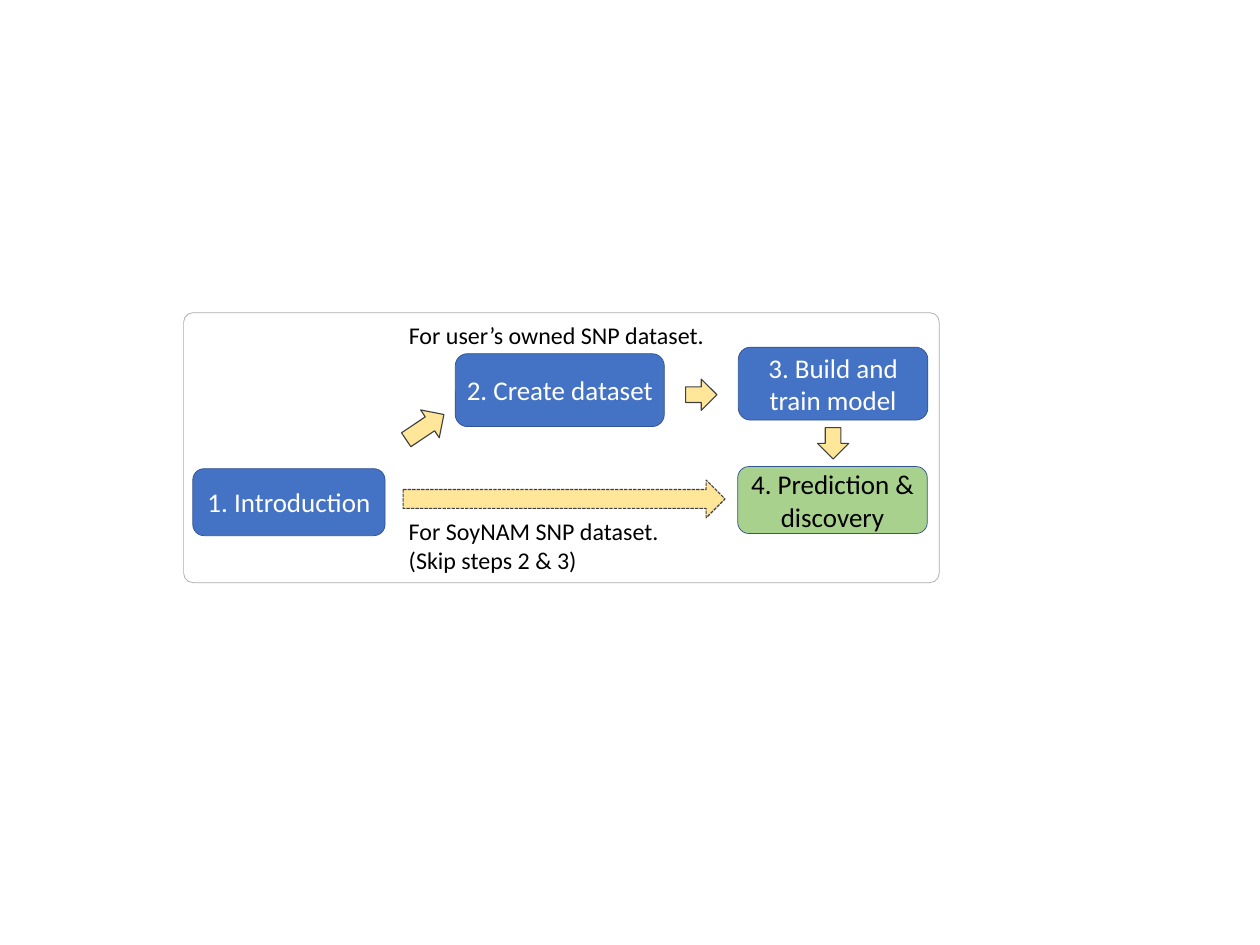
from dataclasses import dataclass

from pptx import Presentation
from pptx.dml.color import RGBColor
from pptx.enum.dml import MSO_LINE
from pptx.enum.shapes import MSO_SHAPE
from pptx.enum.text import MSO_ANCHOR, MSO_AUTO_SIZE, PP_ALIGN
from pptx.util import Inches, Pt

ROUNDED, ARROW = MSO_SHAPE.ROUNDED_RECTANGLE, MSO_SHAPE.RIGHT_ARROW
DASHED = MSO_LINE.SQUARE_DOT
MIDDLE, CENTER, LEFT = MSO_ANCHOR.MIDDLE, PP_ALIGN.CENTER, PP_ALIGN.LEFT
GROW = MSO_AUTO_SIZE.SHAPE_TO_FIT_TEXT


@dataclass(frozen=True)
class Theme:
    font: str = "Calibri"
    step_size: int = 36
    note_size: int = 32
    white: str = "FFFFFF"
    black: str = "000000"
    blue: str = "4472C4"
    green: str = "A9D18E"
    yellow: str = "FFE699"
    panel_line: str = "AFABAB"
    step_line: str = "325491"
    arrow_line: str = "404040"


THEME = Theme()

# Content: places are (column, row, columns, rows) on a grid of square cells
COLUMNS, ROWS = 23.33, 17.5
CELL = Inches(1)
PANEL = (3.4, 5.79, 13.99, 5)
PANEL_CORNER = 0.035

STEPS = {
    "introduction": ("1. Introduction", (3.57, 8.68, 3.56, 1.24), THEME.blue, THEME.white),
    "dataset": ("2. Create dataset", (8.43, 6.55, 3.87, 1.35), THEME.blue, THEME.white),
    "model": ("3. Build and train model", (13.67, 6.43, 3.51, 1.35), THEME.blue, THEME.white),
    "discovery": ("4. Prediction & discovery", (13.66, 8.64, 3.51, 1.24), THEME.green, THEME.black),
}
NOTES = [
    (["For user’s owned SNP dataset."], (7.47, 5.89, 5.72, 0.64), False),
    (["For SoyNAM SNP dataset.", "(Skip steps 2 & 3)"], (7.47, 9.52, 6.77, 1.18), True),
]
SHORT_ARROW = (0.58, 0.58)
RISING_ARROW = (0.84, 0.62)
SKIP_ARROW = (5.96, 0.7)


def to_grid(place):
    return [round(value * CELL) for value in place]


def gap_between(first, second, axis):
    """Middle of the gap between two steps along an axis (0 across, 1 down)."""
    start, end = STEPS[first][1], STEPS[second][1]
    return (start[axis] + start[axis + 2] + end[axis]) / 2


def middle_of(step, axis):
    place = STEPS[step][1]
    return place[axis] + place[axis + 2] / 2


def add_block(page, kind, place, fill, line, weight):
    block = page.shapes.add_shape(kind, *to_grid(place))
    block.shadow.inherit = False
    block.fill.solid()
    block.fill.fore_color.rgb = RGBColor.from_string(fill)
    block.line.color.rgb = RGBColor.from_string(line)
    block.line.width = Pt(weight)
    return block


def write(frame, lines, size, color, align, **settings):
    for name, value in settings.items():
        setattr(frame, name, value)
    for number, words in enumerate(lines):
        para = frame.paragraphs[0] if number == 0 else frame.add_paragraph()
        para.alignment = align
        span = para.add_run()
        span.text = words
        for name, value in {"name": THEME.font, "size": Pt(size)}.items():
            setattr(span.font, name, value)
        span.font.color.rgb = RGBColor.from_string(color)


def add_arrow(page, center, size, turn=0, dash=None):
    corner = [middle - length / 2 for middle, length in zip(center, size)]
    arrow = add_block(page, ARROW, (*corner, *size), THEME.yellow, THEME.arrow_line, 1.5)
    arrow.rotation = turn
    if dash:
        arrow.line.dash_style = dash


def main():
    deck = Presentation()
    deck.slide_width, deck.slide_height = to_grid((COLUMNS, ROWS))
    page = deck.slides.add_slide(deck.slide_layouts[6])

    # Panel behind the flow
    panel = add_block(page, ROUNDED, PANEL, THEME.white, THEME.panel_line, 1)
    panel.adjustments[0] = PANEL_CORNER

    # Steps
    for words, place, fill, color in STEPS.values():
        step = add_block(page, ROUNDED, place, fill, THEME.step_line, 1)
        write(step.text_frame, [words], THEME.step_size, color, CENTER,
              word_wrap=True, vertical_anchor=MIDDLE)

    # Arrows from step to step
    across = gap_between("dataset", "model", 0)
    down = gap_between("model", "discovery", 1)
    skip = gap_between("introduction", "discovery", 0)
    add_arrow(page, (7.87, 7.91), RISING_ARROW, turn=326.2)
    add_arrow(page, (across, 7.31), SHORT_ARROW)
    add_arrow(page, (middle_of("model", 0), down), SHORT_ARROW, turn=90)
    add_arrow(page, (skip + 0.05, 9.24), SKIP_ARROW, dash=DASHED)

    # Notes on the two routes
    for lines, place, wrap in NOTES:
        note = page.shapes.add_textbox(*to_grid(place))
        write(note.text_frame, lines, THEME.note_size, THEME.black, LEFT,
              word_wrap=wrap, auto_size=GROW)

    deck.save("out.pptx")


if __name__ == "__main__":
    main()
